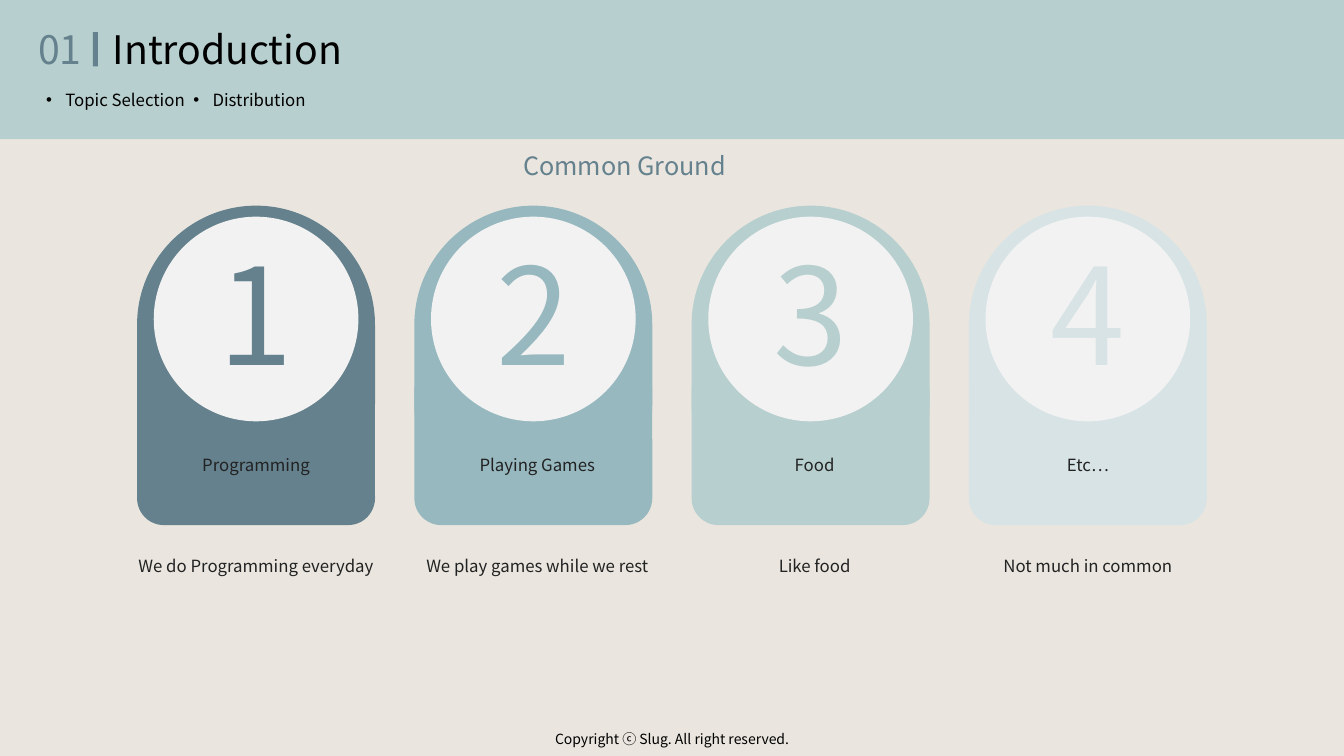
from lxml import etree
from pptx import Presentation
from pptx.dml.color import RGBColor
from pptx.enum.shapes import MSO_SHAPE as Shape
from pptx.enum.text import MSO_AUTO_SIZE as AutoSize, PP_ALIGN as Align
from pptx.oxml.ns import qn
from pptx.util import Inches, Pt

FONT = "Noto Sans CJK KR"
COLORS = {
    "background": "EAE6DF", "banner": "B7CFCE", "accent": "64818D",
    "disc": "F2F2F2", "black": "000000", "body": "222222",
}
WIDTH, HEIGHT = 13.33, 7.5
CARD_WIDTH, CARD_PITCH = 2.36, 2.75
# Number, fill, label, caption, sideways shift of the two texts
CARDS = [
    ("1", "64818D", "Programming", "We do Programming everyday", 0),
    ("2", "97B8BF", "Playing Games", "We play games while we rest", 0.04),
    ("3", "B7CFCE", "Food", "Like food", 0.04),
    ("4", "D8E3E5", "Etc…", "Not much in common", 0),
]


def add_block(slide, kind, left, top, width, height, color):
    shape = slide.shapes.add_shape(
        kind, Inches(left), Inches(top), Inches(width), Inches(height))
    shape.shadow.inherit = False
    shape.fill.solid()
    shape.fill.fore_color.rgb = RGBColor.from_string(color)
    shape.line.fill.background()
    return shape


def add_text(slide, text, left, top, width, height, size, color,
             align=Align.LEFT, bullet=False):
    box = slide.shapes.add_textbox(
        Inches(left), Inches(top), Inches(width), Inches(height))
    frame = box.text_frame
    frame.word_wrap = True
    frame.auto_size = AutoSize.SHAPE_TO_FIT_TEXT
    frame.text = text
    paragraph = frame.paragraphs[0]
    paragraph.alignment = align
    if bullet:
        add_bullet(paragraph)
    run = paragraph.runs[0]
    run.font.size = Pt(size)
    run.font.name = FONT
    run.font.color.rgb = RGBColor.from_string(color)
    east_asian = etree.SubElement(run.font._element, qn("a:ea"))
    east_asian.set("typeface", FONT)


def add_bullet(paragraph):
    properties = paragraph._p.get_or_add_pPr()
    indent = Inches(0.19)
    properties.set("marL", str(indent))
    properties.set("indent", str(-indent))
    etree.SubElement(properties, qn("a:buFont")).set("typeface", "Arial")
    etree.SubElement(properties, qn("a:buChar")).set("char", "•")


def add_header(slide, left, top, width, height):
    add_block(slide, Shape.RECTANGLE, left, top, width, height, COLORS["banner"])
    title_top, topics_top = top + 0.2, top + 0.84
    add_text(slide, "01", left + 0.28, title_top, 0.74, 0.57, 28, COLORS["accent"])
    add_text(slide, "Introduction", left + 1.02, title_top, 2.95, 0.57, 28,
             COLORS["black"])
    add_block(slide, Shape.RECTANGLE, left + 0.92, top + 0.32, 0.05, 0.34,
              COLORS["accent"])
    for topic, offset in (("Topic Selection", 0.36), ("Distribution", 1.82)):
        add_text(slide, topic, left + offset, topics_top, 1.95, 0.3, 12,
                 COLORS["black"], bullet=True)


def add_card(slide, left, top, width, card):
    """Draw an arched card with a numbered disc, a label and a caption below."""
    number, color, label, caption, shift = card
    center = left + width / 2
    arch = add_block(slide, Shape.ROUNDED_RECTANGLE, left, top, width, 3.15, color)
    arch.adjustments[0] = 0.5
    add_block(slide, Shape.ROUNDED_RECTANGLE, left, top + 1.57, width, 1.6, color)
    disc = 2.03
    add_block(slide, Shape.OVAL, center - disc / 2, top + 0.11, disc, disc,
              COLORS["disc"])
    texts = [
        (number, center, 0.2, 1.24, 1.72, 96, color),
        (label, center + shift, 2.42, width, 0.3, 12, COLORS["body"]),
        (caption, center + shift, 3.42, 2.85, 0.3, 12, COLORS["body"]),
    ]
    for text, middle, offset, text_width, text_height, size, text_color in texts:
        add_text(slide, text, middle - text_width / 2, top + offset, text_width,
                 text_height, size, text_color, Align.CENTER)


def add_cards(slide, left, top):
    for column, card in enumerate(CARDS):
        add_card(slide, left + column * CARD_PITCH, top, CARD_WIDTH, card)


def add_footer(slide, top, width):
    add_text(slide, "Copyright ⓒ Slug. All right reserved.", (WIDTH - width) / 2,
             top, width, 0.27, 10, COLORS["black"], Align.CENTER)


def main():
    presentation = Presentation()
    presentation.slide_width = Inches(WIDTH)
    presentation.slide_height = Inches(HEIGHT)
    slide = presentation.slides.add_slide(presentation.slide_layouts[6])
    slide.background.fill.solid()
    slide.background.fill.fore_color.rgb = RGBColor.from_string(COLORS["background"])
    add_header(slide, 0, 0, WIDTH, 1.38)
    add_text(slide, "Common Ground", 5.09, 1.44, 2.76, 0.4, 18, COLORS["accent"])
    add_cards(slide, 1.36, 2.04)
    add_footer(slide, 7.2, 3.46)
    presentation.save("out.pptx")


if __name__ == "__main__":
    main()
